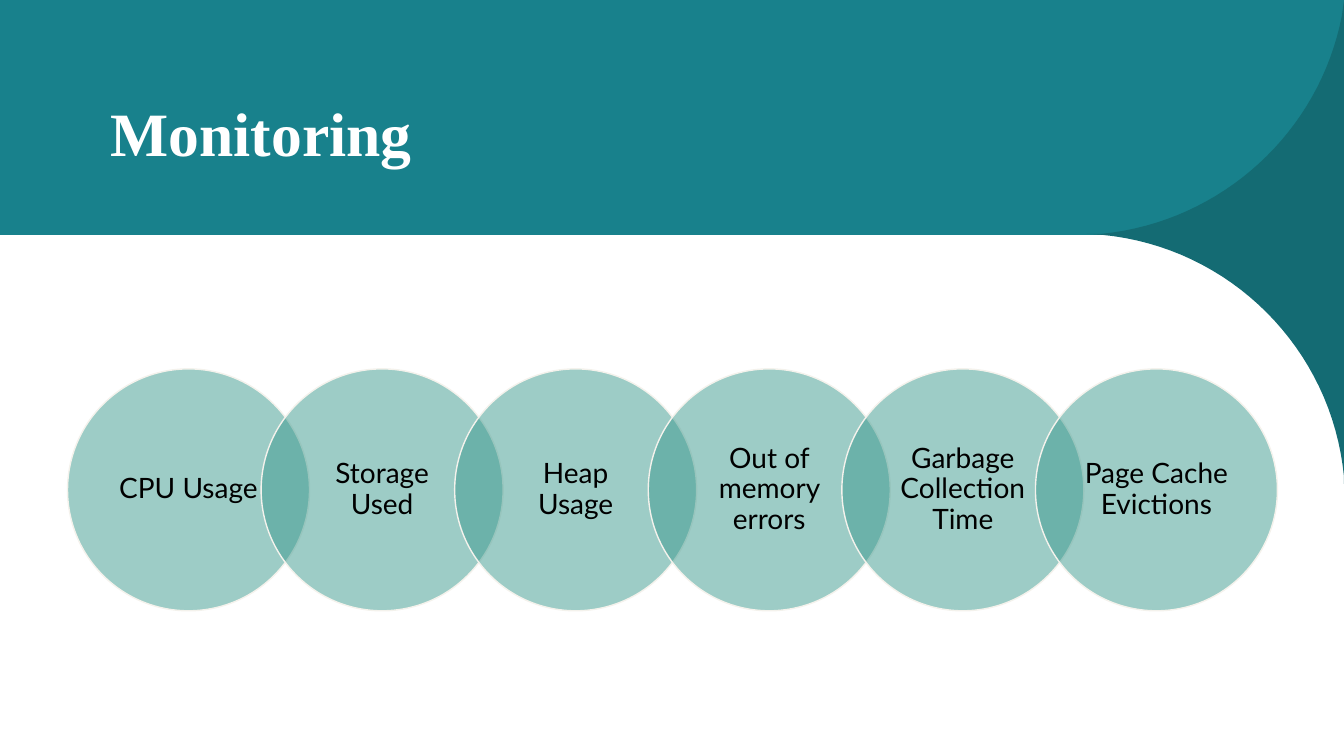
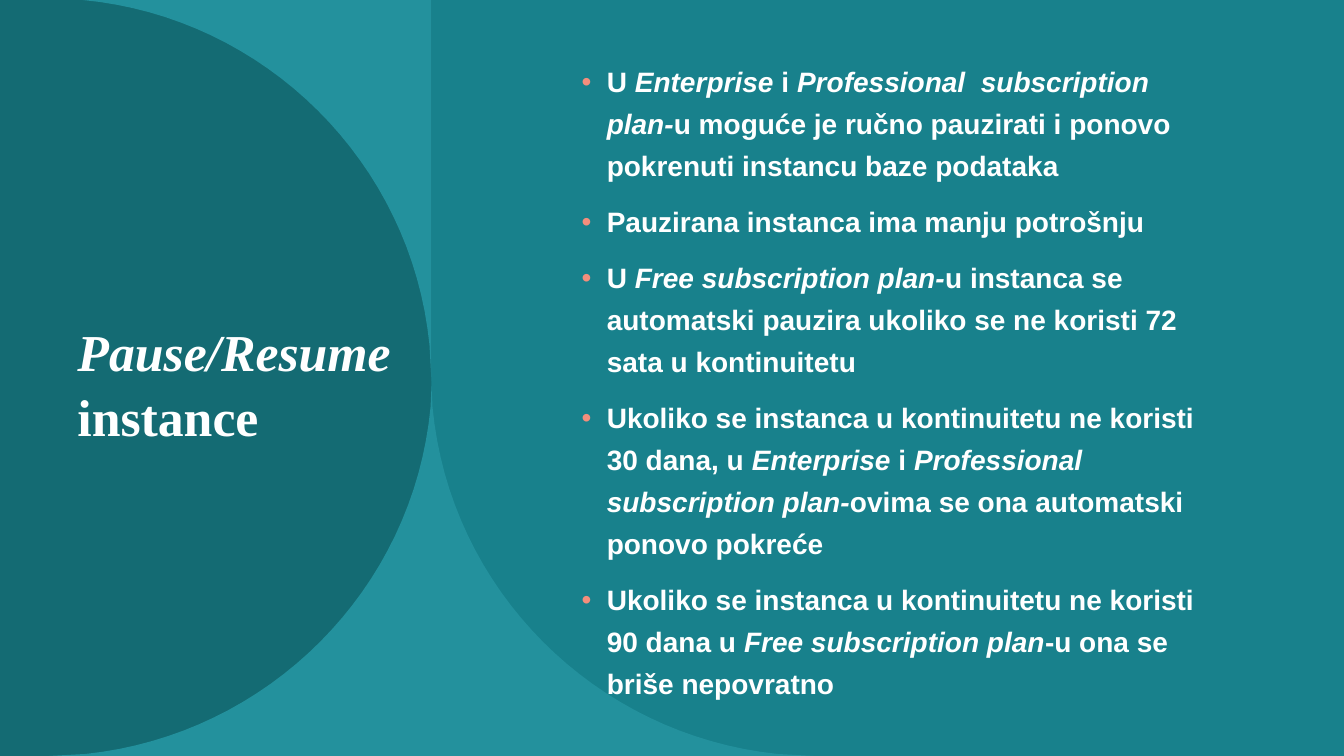
from dataclasses import dataclass

from lxml.etree import SubElement
from pptx import Presentation
from pptx.dml.color import RGBColor
from pptx.enum.shapes import MSO_SHAPE as Preset
from pptx.enum.text import MSO_ANCHOR as Anchor, PP_ALIGN as Align
from pptx.oxml.ns import qn
from pptx.util import Pt

PX = 9144  # EMU in one px, 100 px to the inch
WIDTH, HEIGHT = 1333, 750


@dataclass(frozen=True)
class Theme:
    teal: str = "18818C"
    dark_teal: str = "146B73"
    light_teal: str = "23919D"
    circle: str = "3C9A8F"
    circle_line: str = "F4F2EC"
    bullet: str = "F48E7C"
    white: str = "FFFFFF"
    black: str = "000000"
    title_font: str = "Times New Roman"
    body_font: str = "Arial"
    label_font: str = "Lato"
    title_size: int = 44
    side_title_size: int = 37
    text_size: int = 20


theme = Theme()
TITLE = dict(font=theme.title_font, bold=True, spacing=1.05)


def write_text(shape, *texts, font, size, color=theme.white, bold=False, align=Align.LEFT,
               spacing=1.0, before=0, insets=(10, 5), bullet=None):
    """Fill a shape with one paragraph per text; *stars* enclose italics."""
    frame = shape.text_frame
    frame.word_wrap = True
    frame.vertical_anchor = Anchor.MIDDLE
    frame.margin_left = frame.margin_right = insets[0] * PX
    frame.margin_top = frame.margin_bottom = insets[1] * PX
    for index, text in enumerate(texts):
        paragraph = frame.add_paragraph() if index else frame.paragraphs[0]
        paragraph.alignment = align
        paragraph.line_spacing = spacing
        paragraph.space_before = Pt(before)
        if bullet:
            properties = paragraph._p.get_or_add_pPr()
            properties.set("marL", str(25 * PX))
            properties.set("indent", str(-25 * PX))
            bullet_color = SubElement(properties, qn("a:buClr"))
            SubElement(bullet_color, qn("a:srgbClr"), val=bullet)
            SubElement(properties, qn("a:buFont"), typeface=font)
            SubElement(properties, qn("a:buChar"), char="•")
        for part, words in enumerate(text.split("*")):
            if words:
                run = paragraph.add_run()
                run.text = words
                run.font.name, run.font.size = font, Pt(size)
                run.font.bold, run.font.italic = bold, part % 2 == 1
                run.font.color.rgb = RGBColor.from_string(color)


def add_outline(slide, start, *segments, color):
    """Draw a closed outline from points and cubic curves (control, control, end)."""
    points = [start]
    for segment in segments:
        if len(segment) == 2:
            points.append(segment)
            continue
        corners = (points[-1], *segment)
        for step in range(1, 33):
            t = step / 32
            weights = ((1 - t) ** 3, 3 * t * (1 - t) ** 2, 3 * t * t * (1 - t), t ** 3)
            points.append(tuple(sum(w * corner[axis] for w, corner in zip(weights, corners))
                                for axis in (0, 1)))
    scaled = [(round(x * PX), round(y * PX)) for x, y in points]
    builder = slide.shapes.build_freeform(*scaled[0])
    builder.add_line_segments(scaled[1:], close=True)
    shape = builder.convert_to_shape()
    shape.shadow.inherit = False
    shape.fill.solid()
    shape.fill.fore_color.rgb = RGBColor.from_string(color)
    shape.line.fill.background()


presentation = Presentation()
presentation.slide_width, presentation.slide_height = WIDTH * PX, HEIGHT * PX
blank = presentation.slide_layouts[6]

# Slide 1: title band with a curved corner
slide = presentation.slides.add_slide(blank)
band = slide.shapes.add_shape(Preset.RECTANGLE, 0, 0, WIDTH * PX, 233 * PX)
band.shadow.inherit = False
band.fill.solid()
band.fill.fore_color.rgb = RGBColor.from_string(theme.teal)
band.line.fill.background()
add_outline(slide, (WIDTH, 0), ((1331, 15)), ((1309, 131), (1212, 220), (1093, 232)),
            (1078, 232), (1093, 233), ((1220, 245), (1321, 346), (WIDTH, 473)), (WIDTH, 480),
            color=theme.dark_teal)
title = slide.shapes.add_textbox(100 * PX, 68 * PX, 1084 * PX, 121 * PX)
write_text(title, "Monitoring", size=theme.title_size, **TITLE)

# Slide 1: chain of overlapping circles
metrics = ("CPU Usage", "Storage Used", "Heap Usage", "Out of memory errors",
           "Garbage Collection Time", "Page Cache Evictions")
DIAMETER, OVERLAP = 240, 48
for index, metric in enumerate(metrics):
    left = 67 + index * (DIAMETER - OVERLAP)
    circle = slide.shapes.add_shape(Preset.OVAL, left * PX, 366 * PX, DIAMETER * PX, DIAMETER * PX)
    circle.shadow.inherit = False
    circle.fill.solid()
    circle.fill.fore_color.rgb = RGBColor.from_string(theme.circle)
    fill_color = circle._element.spPr.find(qn("a:solidFill")).find(qn("a:srgbClr"))
    SubElement(fill_color, qn("a:alpha"), val="50000")
    circle.line.color.rgb = RGBColor.from_string(theme.circle_line)
    circle.line.width = Pt(1)
    write_text(circle, metric, font=theme.label_font, size=theme.text_size, color=theme.black,
               align=Align.CENTER, spacing=0.9, insets=(13, 3))

# Slide 2: teal background, dark side panel and its curved edges
slide = presentation.slides.add_slide(blank)
slide.background.fill.solid()
slide.background.fill.fore_color.rgb = RGBColor.from_string(theme.teal)
panel = slide.shapes.add_shape(Preset.RECTANGLE, 0, 0, 428 * PX, HEIGHT * PX)
panel.shadow.inherit = False
panel.fill.solid()
panel.fill.fore_color.rgb = RGBColor.from_string(theme.dark_teal)
panel.line.fill.background()
add_outline(slide, (82, 0), (428, 0), (428, 378), (426, 342), ((408, 161), (263, 17), (82, 0)),
            color=theme.light_teal)
add_outline(slide, (807, 750), (49, 750), (85, 748), ((266, 729), (410, 585), (427, 404)),
            (428, 383), (429, 404), ((446, 585), (590, 729), (771, 748)),
            color=theme.light_teal)

# Slide 2: title and bullets
title = slide.shapes.add_textbox(67 * PX, 78 * PX, 333 * PX, 601 * PX)
write_text(title, "*Pause/Resume *instance", size=theme.side_title_size, **TITLE)
body = slide.shapes.add_textbox(567 * PX, 75 * PX, 633 * PX, 601 * PX)
write_text(
    body,
    "U *Enterprise *i *Professional  subscription plan-*u moguće je ručno pauzirati i ponovo "
    "pokrenuti instancu baze podataka",
    "Pauzirana instanca ima manju potrošnju",
    "U *Free subscription plan-*u instanca se automatski pauzira ukoliko se ne koristi 72 sata "
    "u kontinuitetu",
    "Ukoliko se instanca u kontinuitetu ne koristi 30 dana, u *Enterprise* i "
    "*Professional subscription plan-*ovima se ona automatski ponovo pokreće",
    "Ukoliko se instanca u kontinuitetu ne koristi 90 dana u *Free subscription plan*-u ona se "
    "briše nepovratno",
    font=theme.body_font, size=theme.text_size, bold=True, spacing=1.25, before=10,
    bullet=theme.bullet)

presentation.save("out.pptx")
